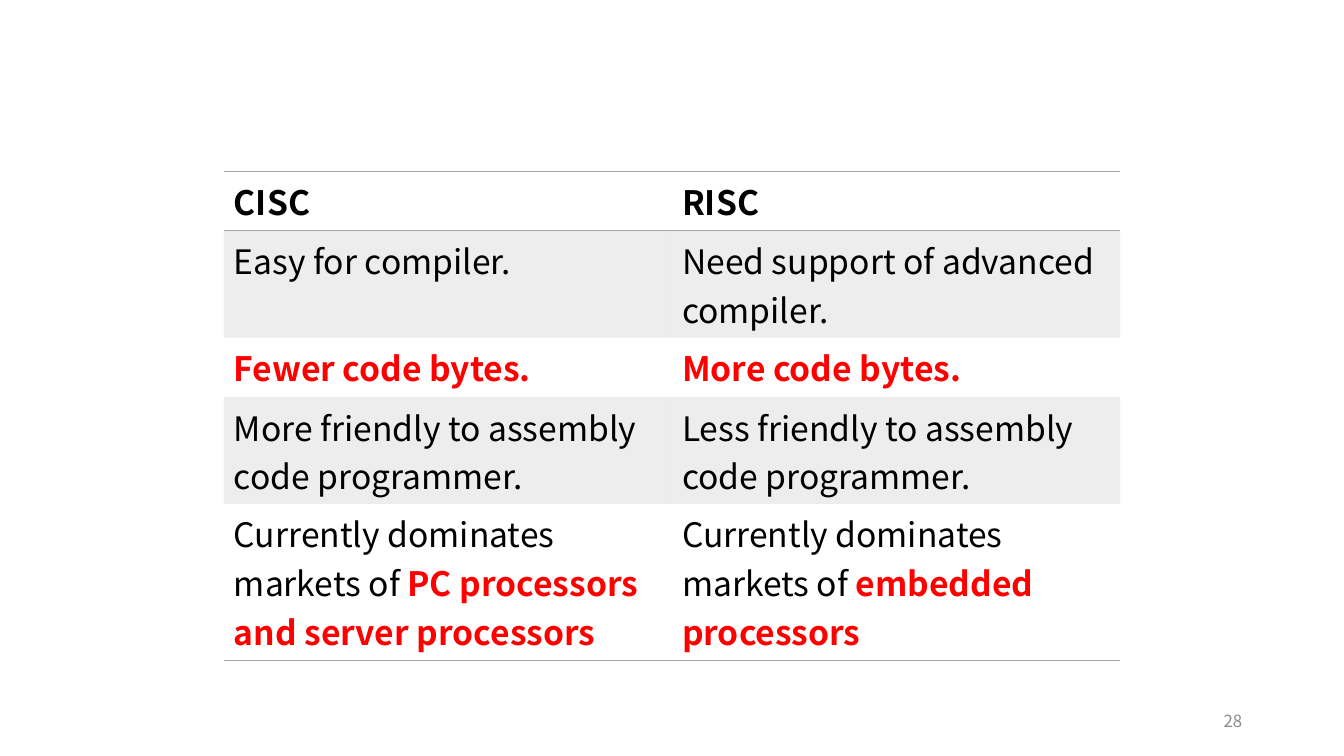
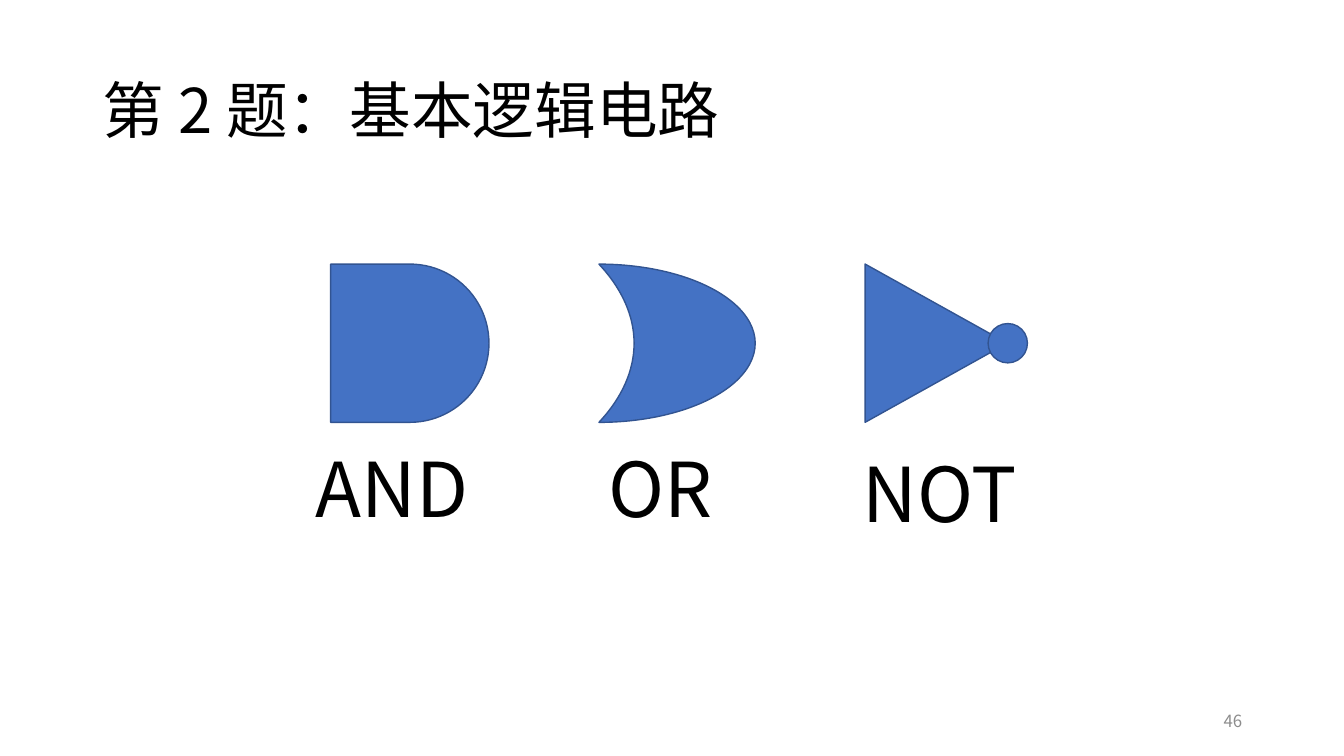
from dataclasses import dataclass

from lxml.etree import SubElement
from pptx import Presentation
from pptx.dml.color import RGBColor
from pptx.enum.shapes import MSO_SHAPE
from pptx.enum.text import MSO_ANCHOR, MSO_AUTO_SIZE, PP_ALIGN
from pptx.oxml import parse_xml
from pptx.oxml.ns import nsdecls, qn
from pptx.util import Inches, Pt


@dataclass(frozen=True)
class Theme:
    font: str = "Noto Sans CJK SC"
    ink: str = "000000"
    accent: str = "FF0000"
    muted: str = "8C8C8C"
    rule: str = "A5A5A5"
    gate: str = "4472C4"
    gate_line: str = "325491"
    title_size: int = 44
    label_size: int = 54
    table_size: int = 24
    number_size: int = 12
    band_opacity: int = 20


THEME = Theme()
NO_TABLE_STYLE = "{2D5ABB26-0587-4C30-8999-92F81FD0307C}"
TITLE_ONLY, BLANK = 5, 6


def write(para, text, size, color=THEME.ink, bold=False, align=PP_ALIGN.LEFT, spacing=None):
    para.alignment = align
    if spacing:
        para.line_spacing = spacing
    span = para.add_run()
    span.text = text
    span.font.size = Pt(size)
    span.font.bold = bold
    span.font.name = THEME.font
    span.font.color.rgb = RGBColor.from_string(color)
    SubElement(span.font._element, qn("a:ea"), typeface=THEME.font)


def place(shape, left, top, width, height):
    shape.left, shape.top = Inches(left), Inches(top)
    shape.width, shape.height = Inches(width), Inches(height)


def add_border(cell, side):
    cell._tc.get_or_add_tcPr().insert(0, parse_xml(
        f'<a:ln{side} {nsdecls("a")} w="{Pt(1)}"><a:solidFill>'
        f'<a:srgbClr val="{THEME.rule}"/></a:solidFill></a:ln{side}>'))


def fill_band(cell):
    cell.fill.solid()
    cell.fill.fore_color.rgb = RGBColor.from_string(THEME.rule)
    color = cell._tc.tcPr.find(".//" + qn("a:srgbClr"))
    SubElement(color, qn("a:alpha"), val=str(THEME.band_opacity * 1000))


class SlideBuilder:
    def __init__(self):
        self.deck = Presentation()
        self.deck.slide_width = Inches(13.33)
        self.deck.slide_height = Inches(7.5)
        self.page = None

    def start(self, number, title=None):
        layout = self.deck.slide_layouts[TITLE_ONLY if title else BLANK]
        self.page = self.deck.slides.add_slide(layout)
        if title:
            self.title(title)
        self.text(str(number), 9.42, 6.95, 3, 0.4, anchor=MSO_ANCHOR.MIDDLE,
                  size=THEME.number_size, color=THEME.muted, align=PP_ALIGN.RIGHT)

    def title(self, text):
        box = self.page.shapes.title
        place(box, 0.92, 0.4, 11.5, 1.45)
        frame = box.text_frame
        frame.vertical_anchor = MSO_ANCHOR.MIDDLE
        frame.auto_size = MSO_AUTO_SIZE.NONE
        write(frame.paragraphs[0], text, THEME.title_size, spacing=0.9)

    def text(self, text, left, top, width, height, anchor=MSO_ANCHOR.TOP, grow=False, **style):
        box = self.page.shapes.add_textbox(
            Inches(left), Inches(top), Inches(width), Inches(height))
        frame = box.text_frame
        frame.word_wrap = True
        frame.vertical_anchor = anchor
        if grow:
            frame.auto_size = MSO_AUTO_SIZE.SHAPE_TO_FIT_TEXT
        write(frame.paragraphs[0], text, **style)

    def gate(self, kind, left, top, width, height, rotation=0, adjustment=None, group=None):
        shape = (group or self.page).shapes.add_shape(
            kind, Inches(left), Inches(top), Inches(width), Inches(height))
        shape.shadow.inherit = False
        shape.fill.solid()
        shape.fill.fore_color.rgb = RGBColor.from_string(THEME.gate)
        shape.line.color.rgb = RGBColor.from_string(THEME.gate_line)
        shape.line.width = Pt(1)
        shape.rotation = rotation
        if adjustment is not None:
            shape.adjustments[0] = adjustment

    def table(self, rows, left, top, width, heights):
        holder = self.page.shapes.add_table(
            len(rows), len(rows[0]), Inches(left), Inches(top),
            Inches(width), Inches(sum(heights)))
        holder._element.find(".//" + qn("a:tableStyleId")).text = NO_TABLE_STYLE
        table = holder.table
        table.horz_banding = False
        for index, row in enumerate(rows):
            table.rows[index].height = Inches(heights[index])
            for column, spans in enumerate(row):
                cell = table.cell(index, column)
                for text, style in spans:
                    write(cell.text_frame.paragraphs[0], text, THEME.table_size, **style)
                if index % 2:
                    fill_band(cell)
                else:
                    cell.fill.background()
                if index in (0, len(rows) - 1):
                    add_border(cell, "B")
                if index == 0:
                    add_border(cell, "T")


def comparison_slide(builder):
    plain, header, strong = {}, {"bold": True}, {"bold": True, "color": THEME.accent}
    builder.start(28)
    builder.table([
        [[("CISC", header)], [("RISC", header)]],
        [[("Easy for compiler.", plain)],
         [("Need support of advanced compiler.", plain)]],
        [[("Fewer code bytes.", strong)], [("More code bytes.", strong)]],
        [[("More friendly to assembly code programmer.", plain)],
         [("Less friendly to assembly code programmer.", plain)]],
        [[("Currently dominates markets of ", plain),
          ("PC processors and server processors", strong)],
         [("Currently dominates markets of ", plain),
          ("embedded processors", strong)]],
    ], 2.22, 1.7, 8.89, [0.59, 1.06, 0.59, 1.06, 1.55])


def logic_gates_slide(builder):
    builder.start(46, "第 2 题：基本逻辑电路")
    builder.gate(MSO_SHAPE.MOON, 5.94, 2.62, 1.55, 1.57, rotation=180, adjustment=0.775)
    builder.gate(MSO_SHAPE.FLOWCHART_DELAY, 3.28, 2.62, 1.57, 1.57)
    inverter = builder.page.shapes.add_group_shape()
    builder.gate(MSO_SHAPE.ISOSCELES_TRIANGLE, 8.5, 2.7, 1.57, 1.41, rotation=90, group=inverter)
    builder.gate(MSO_SHAPE.OVAL, 9.8, 3.21, 0.39, 0.39, group=inverter)
    for name, left, top in (("AND", 3.03, 4.33), ("OR", 5.94, 4.33), ("NOT", 8.46, 4.38)):
        builder.text(name, left, top, 2.06, 1.01, grow=True, size=THEME.label_size)


def main():
    builder = SlideBuilder()
    comparison_slide(builder)
    logic_gates_slide(builder)
    builder.deck.save("out.pptx")


if __name__ == "__main__":
    main()
